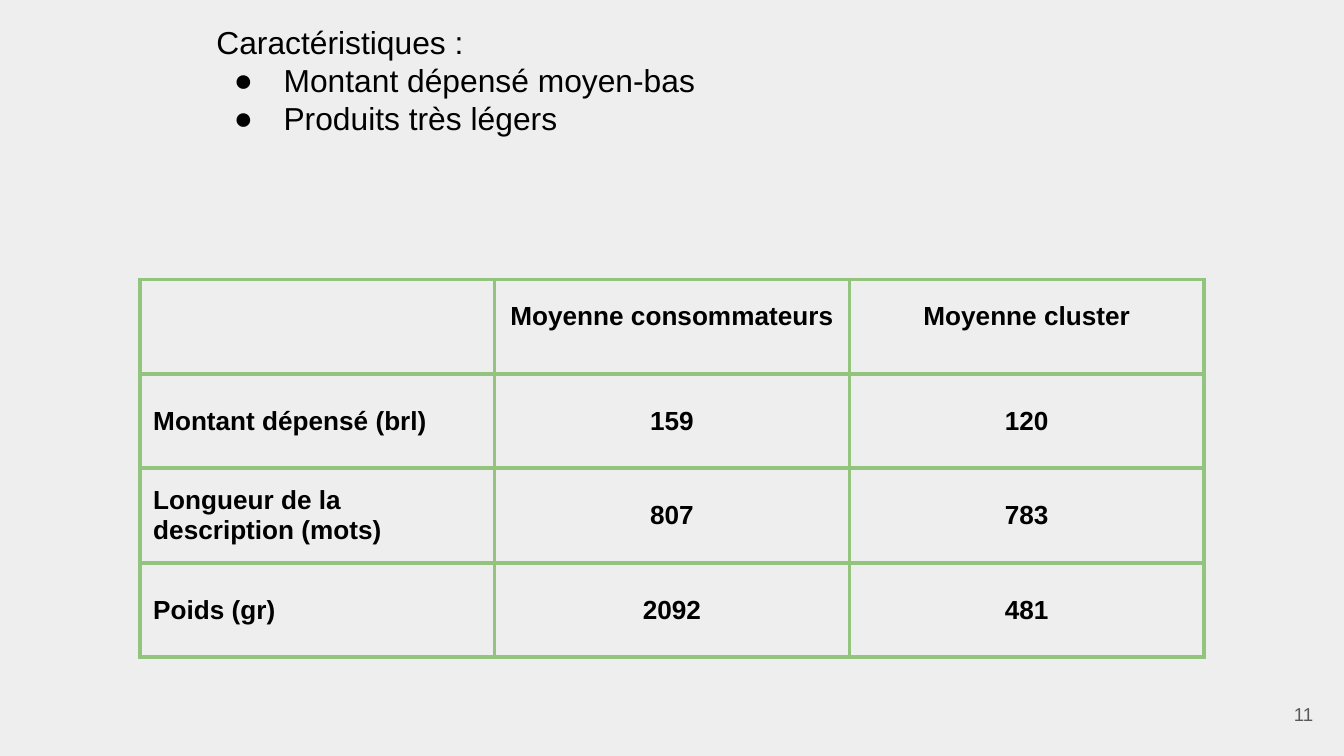
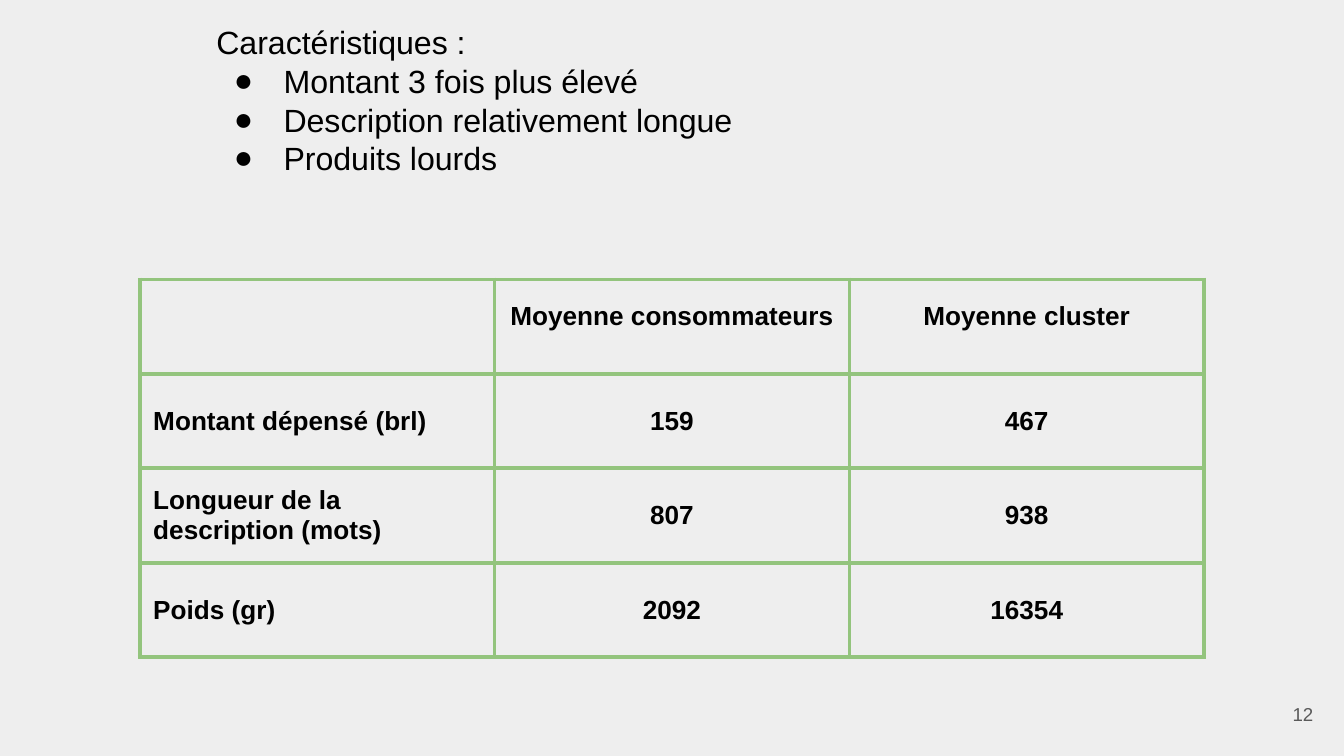
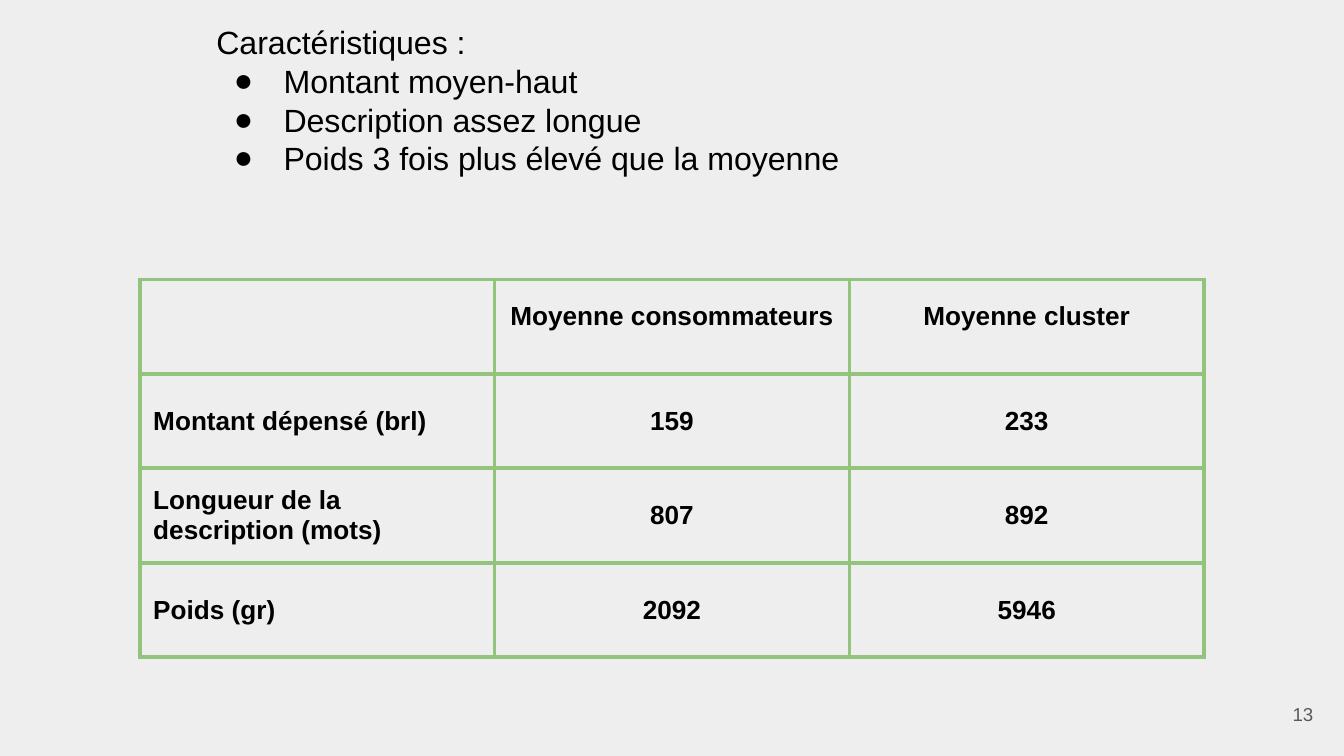
import pptx
import pptx.dml.color
import pptx.enum.text
import pptx.oxml
import pptx.oxml.ns
import pptx.util
import lxml.etree

WIDTH = 10
HEIGHT = WIDTH * 9 / 16
BACKGROUND, INK, MUTED, GREEN = "EEEEEE", "000000", "595959", "93C47D"
FONT = "Arial"
INSET = 0.1
HEADER_BOTTOM = 0.32
TITLE_ONLY = 5
TABLE_BOX = (1.04, 2.08, 7.92, 2.81)
NUMBER_BOX = (9.27, 5.1, 0.6, 0.43)
FIRST_NUMBER = 11
ALIGN = pptx.enum.text.PP_ALIGN
ANCHOR = pptx.enum.text.MSO_ANCHOR

HEADERS = ["", "Moyenne consommateurs", "Moyenne cluster"]
MEASURES = [
    ("Montant dépensé (brl)", 159),
    ("Longueur de la description (mots)", 807),
    ("Poids (gr)", 2092),
]
CLUSTERS = [
    {"traits": ["Montant dépensé moyen-bas", "Produits très légers"],
     "means": [120, 783, 481], "size": 17, "title_width": 4.7},
    {"traits": ["Montant 3 fois plus élevé", "Description relativement longue", "Produits lourds"],
     "means": [467, 938, 16354], "size": 17.2, "title_width": 4.7},
    {"traits": ["Montant moyen-haut", "Description assez longue", "Poids 3 fois plus élevé que la moyenne"],
     "means": [233, 892, 5946], "size": 17.2, "title_width": 5.49},
]


def color(value):
    """Turn a hex string into a colour."""
    return pptx.dml.color.RGBColor.from_string(value)


def inches(*values):
    """Turn a box given in inches into lengths."""
    return [pptx.util.Inches(value) for value in values]


def add_child(parent, tag, **attributes):
    """Append a drawing element with its attributes."""
    return lxml.etree.SubElement(parent, pptx.oxml.ns.qn(tag), attributes)


def set_insets(holder, bottom=INSET):
    """Set the inner margins of a text frame or a cell."""
    holder.margin_left = holder.margin_right = holder.margin_top = pptx.util.Inches(INSET)
    holder.margin_bottom = pptx.util.Inches(bottom)


def write(para, text, size=14, ink=INK, bold=False, align=ALIGN.LEFT):
    """Write formatted text into a paragraph."""
    para.alignment = align
    para.line_spacing = 1.0
    span = para.add_run()
    span.text = text
    span.font.name = FONT
    span.font.size = pptx.util.Pt(size)
    span.font.bold = bold
    span.font.color.rgb = color(ink)


def set_bullet(para):
    """Give a paragraph a hanging round bullet."""
    properties = para._p.get_or_add_pPr()
    properties.set("marL", str(pptx.util.Inches(0.5)))
    properties.set("indent", str(pptx.util.Inches(-0.37)))
    add_child(add_child(properties, "a:buClr"), "a:srgbClr", val=INK)
    add_child(properties, "a:buFont", typeface=FONT)
    add_child(properties, "a:buChar", char="●")


def set_frame(frame, anchor):
    """Prepare a wrapping text frame of fixed size."""
    frame.word_wrap = True
    frame.auto_size = pptx.enum.text.MSO_AUTO_SIZE.NONE
    frame.vertical_anchor = anchor
    set_insets(frame)


def set_borders(cell):
    """Draw the four green borders of a cell."""
    properties = cell._tc.get_or_add_tcPr()
    for side in ("a:lnL", "a:lnR", "a:lnT", "a:lnB"):
        line = add_child(properties, side, w=str(pptx.util.Pt(2.25)))
        add_child(add_child(line, "a:solidFill"), "a:srgbClr", val=GREEN)


def fill_title(page, box, traits, size):
    """Write the heading and its bulleted traits in the title placeholder."""
    title = page.shapes.title
    title.left, title.top, title.width, title.height = inches(*box)
    frame = title.text_frame
    set_frame(frame, ANCHOR.TOP)
    write(frame.paragraphs[0], "Caractéristiques :", size=size)
    for trait in traits:
        para = frame.add_paragraph()
        write(para, trait, size=size)
        set_bullet(para)


def add_number(page, box, number):
    """Place the page number."""
    frame = page.shapes.add_textbox(*inches(*box)).text_frame
    set_frame(frame, ANCHOR.MIDDLE)
    write(frame.paragraphs[0], str(number), size=10, ink=MUTED, align=ALIGN.RIGHT)


def add_comparison(page, box, means):
    """Compare the cluster means with those of all consumers."""
    rows = [HEADERS] + [[*measure, mean] for measure, mean in zip(MEASURES, means)]
    table = page.shapes.add_table(len(rows), len(HEADERS), *inches(*box)).table
    table.first_row = table.horz_banding = False
    for row, values in enumerate(rows):
        for column, value in enumerate(values):
            cell = table.cell(row, column)
            set_borders(cell)
            cell.fill.background()
            set_insets(cell)
            if value == "":
                continue
            cell.vertical_anchor = ANCHOR.MIDDLE
            if row == 0:
                set_insets(cell, HEADER_BOTTOM)
                cell.vertical_anchor = ANCHOR.BOTTOM
            write(cell.text_frame.paragraphs[0], str(value), bold=True,
                  align=ALIGN.CENTER if column else ALIGN.LEFT)


def add_cluster(deck, number, traits, means, size, title_width):
    """Add the page of one cluster."""
    page = deck.slides.add_slide(deck.slide_layouts[TITLE_ONLY])
    fill_title(page, (1.51, 0.07, title_width, 1.84), traits, size)
    add_number(page, NUMBER_BOX, number)
    add_comparison(page, TABLE_BOX, means)


def main():
    """Build and save the deck."""
    deck = pptx.Presentation()
    deck.slide_width, deck.slide_height = inches(WIDTH, HEIGHT)
    background = deck.slide_master.background.fill
    background.solid()
    background.fore_color.rgb = color(BACKGROUND)
    for number, cluster in enumerate(CLUSTERS, FIRST_NUMBER):
        add_cluster(deck, number, **cluster)
    deck.save("out.pptx")


if __name__ == "__main__":
    main()
